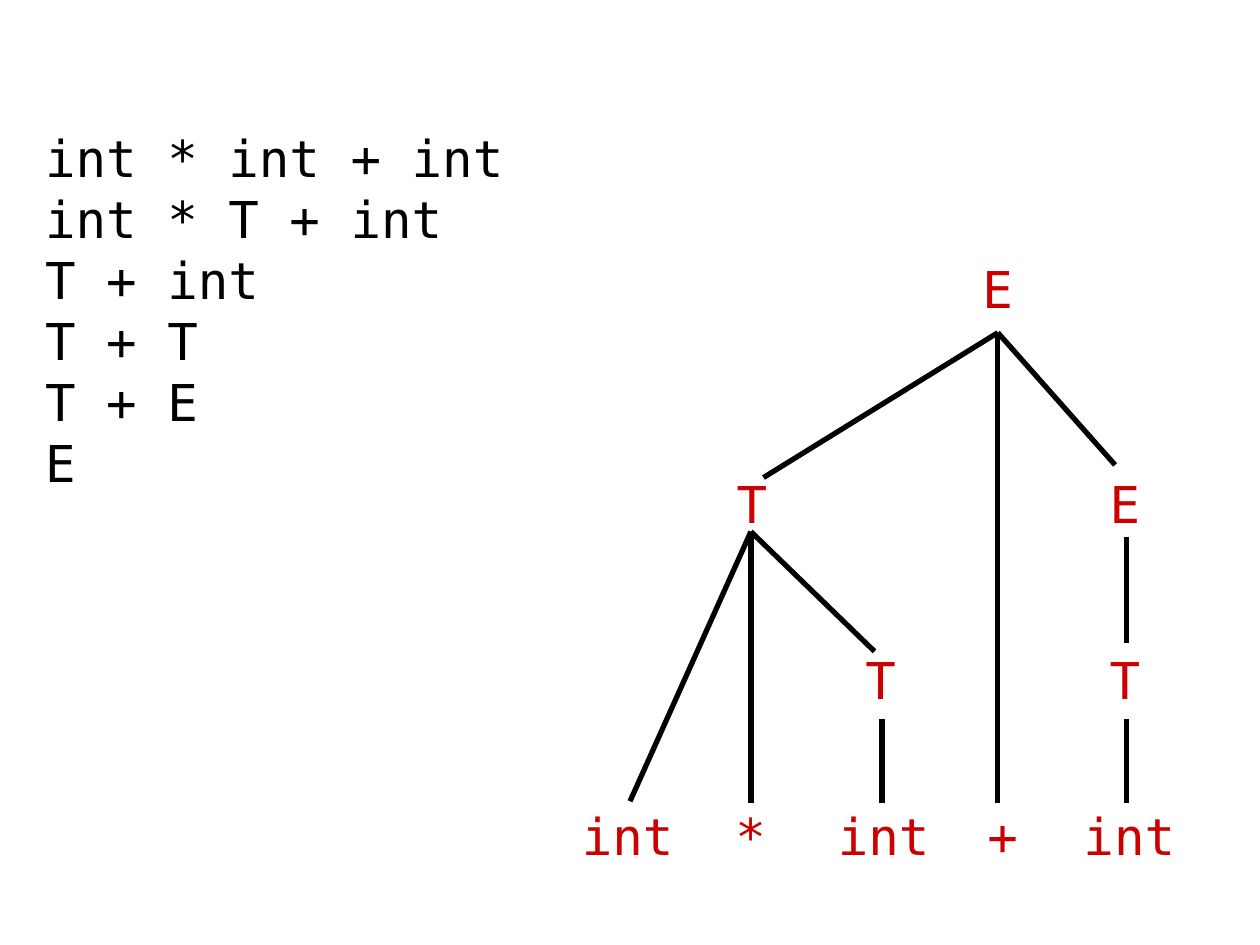
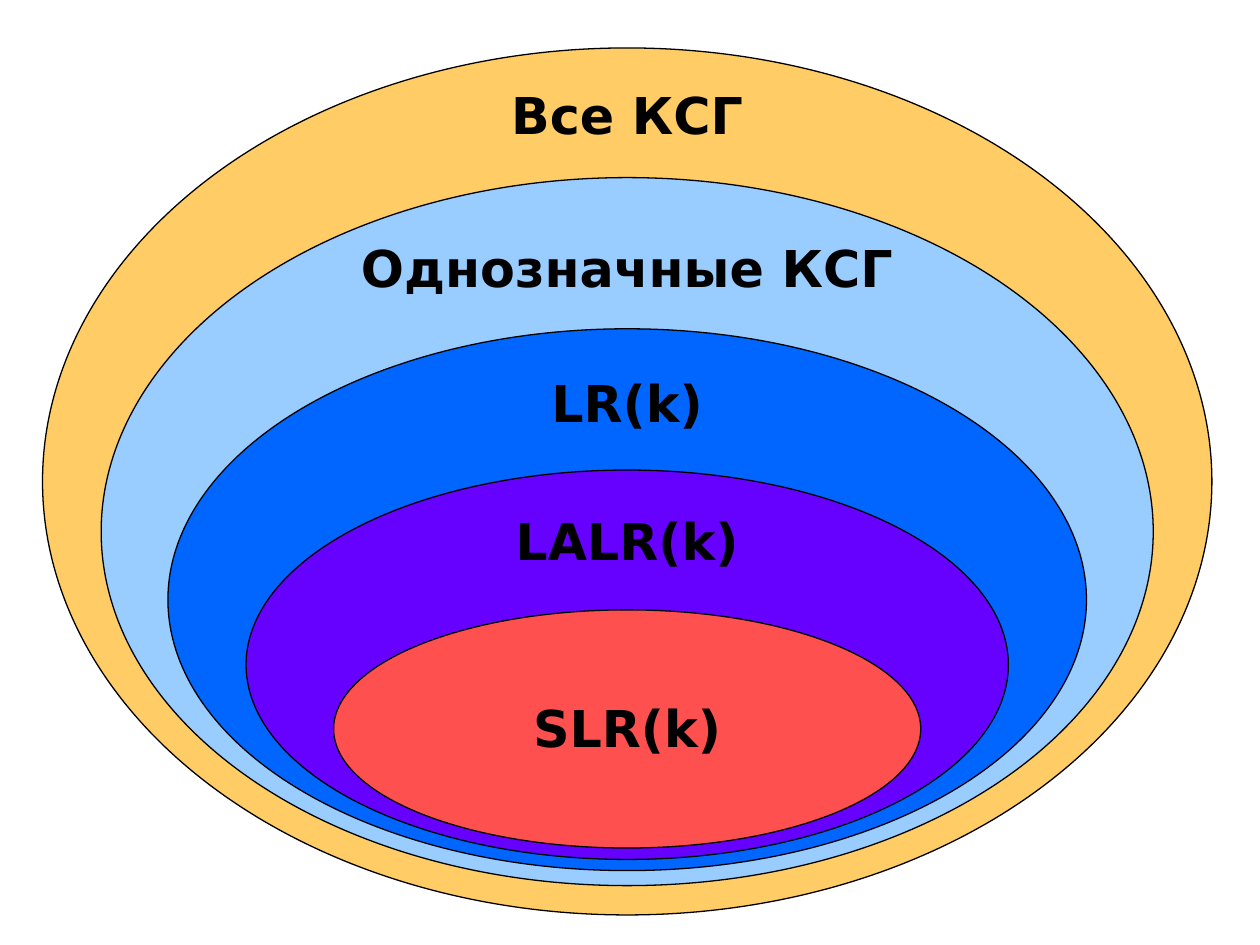
"""Build two slides: a bottom-up parse tree and nested grammar classes."""
import dataclasses

import lxml.etree
import pptx
import pptx.dml.color
import pptx.enum.shapes
import pptx.enum.text
import pptx.oxml.ns
import pptx.util

Pt = pptx.util.Pt
Align = pptx.enum.text.PP_ALIGN


def rgb(code):
    """Return a colour from its hex code."""
    return pptx.dml.color.RGBColor.from_string(code)


@dataclasses.dataclass(frozen=True)
class Theme:
    """Colours, fonts and sizes shared by the slides."""
    ink: str = "000000"
    node: str = "CC0000"
    rings: tuple = ("FFCC66", "99CCFF", "0066FF", "6600FF", "FF5050")
    code_font: str = "DejaVu Sans Mono"
    label_font: str = "DejaVu Sans"
    text_size: float = 29
    label_gap: float = 18.1
    line_height: float = 42.5
    character_width: float = 17.5
    side_insets: float = 14.4
    branch_width: float = 3
    outline_width: float = 0.74


class Deck:
    """Holds the style and the slide being filled."""

    def __init__(self, theme):
        """Start an empty 10 by 7.5 inch presentation."""
        self.theme = theme
        self.presentation = pptx.Presentation()
        self.presentation.slide_width = Pt(720)
        self.presentation.slide_height = Pt(540)
        self.slide = None

    def new_slide(self):
        """Add a blank slide and make it current."""
        self.slide = self.presentation.slides.add_slide(
            self.presentation.slide_layouts[6])

    def text(self, lines, left, top, width, color, wrap=False,
             paragraph_format=None, **font_format):
        """Add a text box with one paragraph per line."""
        box = self.slide.shapes.add_textbox(
            Pt(left), Pt(top), Pt(width), Pt(self.theme.line_height * len(lines)))
        frame = box.text_frame
        frame.text = "\n".join(lines)
        frame.word_wrap = wrap
        frame.auto_size = pptx.enum.text.MSO_AUTO_SIZE.SHAPE_TO_FIT_TEXT
        font_format = {"size": Pt(self.theme.text_size), **font_format}
        for paragraph in frame.paragraphs:
            for name, value in (paragraph_format or {}).items():
                setattr(paragraph, name, value)
            font = paragraph.runs[0].font
            for name, value in font_format.items():
                setattr(font, name, value)
            font.color.rgb = rgb(color)

    def code(self, lines, left, top, color):
        """Add monospaced lines in a box as wide as the longest one."""
        self.text(lines, left, top, self.code_width(max(lines, key=len)),
                  color, name=self.theme.code_font)

    def code_width(self, line):
        """Return the width of a box around a monospaced line."""
        return self.theme.side_insets + self.theme.character_width * len(line)

    def node(self, symbol, center, top):
        """Add a tree symbol centred on a column."""
        self.code([symbol], center - self.code_width(symbol) / 2, top,
                  self.theme.node)

    def label(self, words, center, top, width):
        """Add a bold centred label."""
        self.text([words], center - width / 2, top, width, self.theme.ink,
                  wrap=True, name=self.theme.label_font, bold=True,
                  paragraph_format={"alignment": Align.CENTER,
                                    "space_before": Pt(self.theme.label_gap)})

    def branch(self, start, end):
        """Add a straight tree branch between two points."""
        connector = self.slide.shapes.add_connector(
            pptx.enum.shapes.MSO_CONNECTOR.STRAIGHT,
            *(Pt(value) for value in (*start, *end)))
        connector.line.color.rgb = rgb(self.theme.ink)
        connector.line.width = Pt(self.theme.branch_width)
        lxml.etree.SubElement(connector.element.spPr,
                              pptx.oxml.ns.qn("a:effectLst"))

    def ellipse(self, center, top, width, height, color):
        """Add a filled ellipse centred on a column."""
        shape = self.slide.shapes.add_shape(
            pptx.enum.shapes.MSO_SHAPE.OVAL, Pt(center - width / 2), Pt(top),
            Pt(width), Pt(height))
        shape.shadow.inherit = False
        shape.fill.solid()
        shape.fill.fore_color.rgb = rgb(color)
        shape.line.color.rgb = rgb(self.theme.ink)
        shape.line.width = Pt(self.theme.outline_width)


def parse_tree_slide(deck):
    """Show the reduction steps and the tree they build."""
    deck.new_slide()
    steps = ["int * int + int", "int * T + int", "T + int", "T + T", "T + E", "E"]
    deck.code(steps, 18.7, 69.1, deck.theme.ink)

    rows = {
        456.2: [("int", 358.9), ("*", 429.1), ("int", 505.1), ("+", 573.1),
                ("int", 645.5)],
        367.2: [("T", 503.3), ("T", 643)],
        266.4: [("T", 429.8), ("E", 643)],
        144: [("E", 570.2)],
    }
    for top, symbols in rows.items():
        for symbol, center in symbols:
            deck.node(symbol, center, top)

    leaf_top = 458.6
    branches = {
        (504, 411.1): [(504, leaf_top)],
        (643.7, 411.1): [(643.7, leaf_top)],
        (429.1, 303.8): [(429.1, leaf_top), (360, 457.9), (499.7, 372.2)],
        (643.7, 306.7): [(643.7, 367.2)],
        (570.2, 190.1): [(570.2, leaf_top), (436.3, 272.9), (637.2, 265.7)],
    }
    for parent, children in branches.items():
        for child in children:
            deck.branch(parent, child)


def grammar_classes_slide(deck):
    """Show the grammar classes as nested ellipses."""
    deck.new_slide()
    center = 358.4
    ellipses = [(27.4, 668.2, 495.4), (101.5, 601.2, 404.6),
                (187.9, 524.9, 309.6), (268.6, 435.6, 222.5),
                (348.5, 335.5, 136.1)]
    for (top, width, height), color in zip(ellipses, deck.theme.rings):
        deck.ellipse(center, top, width, height, color)

    labels = [("Все КСГ", 44.6, 186.5), ("Однозначные КСГ", 131.8, 342),
              ("LR(k)", 208.8, 342), ("LALR(k)", 288, 342),
              ("SLR(k)", 394.6, 342)]
    for words, top, width in labels:
        deck.label(words, center, top, width)


def main():
    """Build and save the presentation."""
    deck = Deck(Theme())
    parse_tree_slide(deck)
    grammar_classes_slide(deck)
    deck.presentation.save("out.pptx")


main()
